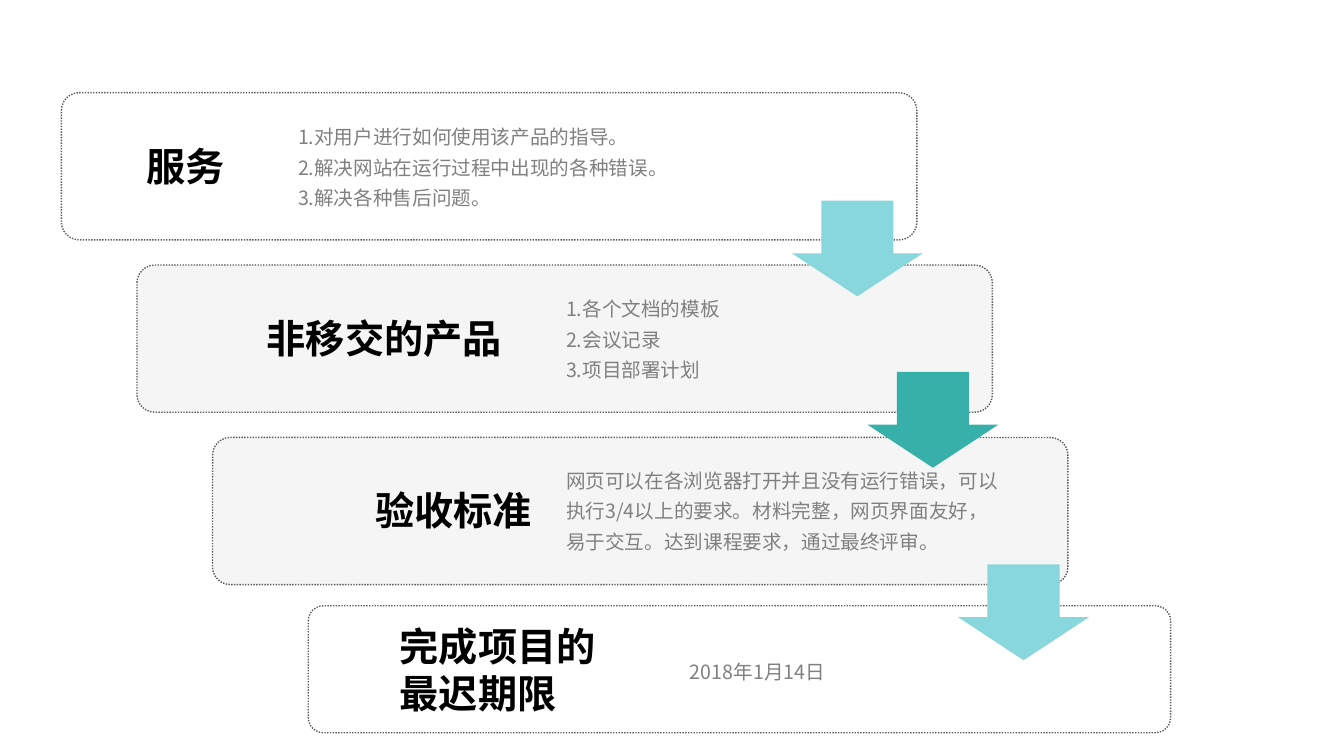
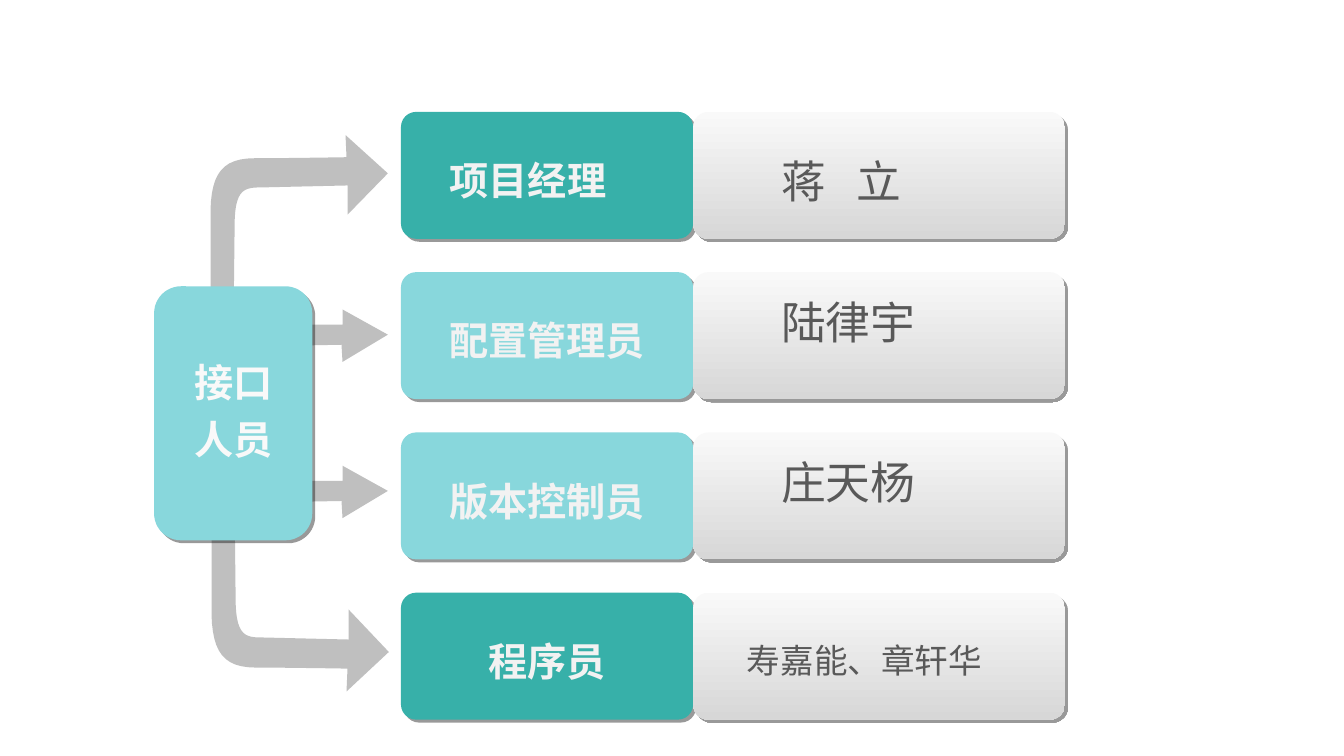
from pptx import Presentation
from pptx.dml.color import RGBColor
from pptx.enum.dml import MSO_LINE
from pptx.enum.shapes import MSO_SHAPE
from pptx.enum.text import MSO_ANCHOR, PP_ALIGN
from pptx.oxml import parse_xml
from pptx.oxml.ns import nsdecls, qn
from pptx.oxml.xmlchemy import OxmlElement
from pptx.util import Inches, Pt

TEAL, AQUA, PALE, ARROW = "37B0A9", "88D7DC", "F5F5F5", "BFBFBF"
BLACK, GREY, DARK, WHITE = "000000", "808080", "595959", "F2F2F2"
HEADING_FONT, BODY_FONT = "Arial", "Noto Sans CJK SC"
SHADOW = (f'<a:outerShdw {nsdecls("a")} blurRad="0" dist="38100" dir="2700000">'
          '<a:srgbClr val="000000"><a:alpha val="40000"/></a:srgbClr></a:outerShdw>')
hex_color = RGBColor.from_string


def add_box(page, preset, place, fill, adjust, shadow=False):
    """Add a borderless shape; fill is a hex string, a pair for a gradient or None."""
    box = page.shapes.add_shape(preset, *[Inches(value) for value in place])
    for index, value in enumerate(adjust):
        box.adjustments[index] = value
    box.shadow.inherit = False
    box.line.fill.background()
    if fill is None:
        box.fill.background()
    elif isinstance(fill, tuple):
        box.fill.gradient()
        box.fill.gradient_angle = 270
        for stop, color in zip(box.fill.gradient_stops, fill):
            stop.color.rgb = hex_color(color)
    else:
        box.fill.solid()
        box.fill.fore_color.rgb = hex_color(fill)
    if shadow:
        box._element.spPr.find(qn("a:effectLst")).append(parse_xml(SHADOW))
    return box


def write(box, text, size, color, font=BODY_FONT, bold=False, spacing=1.0,
          align=PP_ALIGN.LEFT, wrap=True):
    """Put text in a box and format every run alike."""
    frame = box.text_frame
    frame.text = text
    frame.word_wrap = wrap
    for para in frame.paragraphs:
        para.alignment = align
        para.line_spacing = spacing
        for span in para.runs:
            span.font.size = Pt(size)
            span.font.bold = bold
            span.font.name = font
            span.font.color.rgb = hex_color(color)
            east_asian = OxmlElement("a:ea")
            east_asian.set("typeface", BODY_FONT)
            span.font._element.find(qn("a:latin")).addnext(east_asian)


deck = Presentation()
deck.slide_width, deck.slide_height = Inches(13.34), Inches(7.5)
blank = deck.slide_layouts[6]

# Slide 1: staircase of dotted cards
page = deck.slides.add_slide(blank)
cards = [
    ((0.61, 0.92, 8.49, 1.46), None),
    ((1.36, 2.63, 8.49, 1.46), PALE),
    ((2.11, 4.34, 8.49, 1.46), PALE),
    ((3.06, 6.01, 8.56, 1.26), None),
]
for place, fill in cards:
    card = add_box(page, MSO_SHAPE.ROUNDED_RECTANGLE, place, fill, [0.12])
    card.line.color.rgb = hex_color(DARK)
    card.line.width = Pt(1)
    card.line.dash_style = MSO_LINE.ROUND_DOT

# Arrows from step to step
for left, top, fill in [(7.86, 1.99, AQUA), (8.61, 3.69, TEAL), (9.51, 5.6, AQUA)]:
    add_box(page, MSO_SHAPE.DOWN_ARROW, (left, top, 1.3, 0.95), fill, [0.55, 0.45])

# Headings and details of the cards
headings = [
    ("服务", (1.36, 1.36, 1.1, 0.57), False),
    ("非移交的产品", (2.55, 3.07, 2.6, 0.57), False),
    ("验收标准", (3.63, 4.78, 1.8, 0.57), False),
    ("完成项目的最迟期限", (3.87, 6.12, 2.25, 1.04), True),
]
for text, place, wrap in headings:
    heading = page.shapes.add_textbox(*[Inches(value) for value in place])
    write(heading, text, 28, BLACK, HEADING_FONT, bold=True, wrap=wrap)

details = [
    ("1.对用户进行如何使用该产品的指导。\n2.解决网站在运行过程中出现的各种错误。\n3.解决各种售后问题。",
     (2.86, 1.12, 4.27, 1.01)),
    ("1.各个文档的模板\n2.会议记录\n3.项目部署计划", (5.52, 2.83, 2.13, 1.01)),
    ("网页可以在各浏览器打开并且没有运行错误，可以执行3/4以上的要求。"
     "材料完整，网页界面友好，易于交互。达到课程要求，通过最终评审。",
     (5.52, 4.53, 4.53, 1.01)),
    ("2018年1月14日", (6.75, 6.43, 2.41, 0.4)),
]
for text, place in details:
    detail = page.shapes.add_textbox(*[Inches(value) for value in place])
    write(detail, text, 14, GREY, spacing=1.3)

# Slide 2: contact hub with arrows to four roles
page = deck.slides.add_slide(blank)

# Outlines: a pair is a corner, six numbers are a cubic curve
straight = [(1.76, 3.45), (3.39, 3.42), (3.4, 3.59), (3.85, 3.32),
            (3.4, 3.07), (3.4, 3.22), (1.76, 3.22)]
elbow = [(2.31, 3.94), (2.33, 2.18), (2.34, 1.87, 2.44, 1.86, 2.59, 1.86),
         (3.45, 1.84), (3.45, 2.13), (3.85, 1.72), (3.43, 1.34), (3.44, 1.56),
         (3.44, 1.56, 2.86, 1.57, 2.53, 1.57), (2.21, 1.57, 2.1, 1.72, 2.09, 2.08),
         (2.09, 3.98), (2.13, 4.28, 2.27, 4.25, 2.31, 3.94)]
# Each arrow: outline, shift to the right, y offset and y scale
arrows = [(straight, 0, 1.55, 1), (elbow, 0.01, 8.24, -1.03),
          (straight, 0, 0, 1), (elbow, 0, 0, 1)]
for outline, shift, offset, scale in arrows:
    points = []
    for step in outline:
        if len(step) == 2:
            points.append(step)
            continue
        controls = [points[-1], step[:2], step[2:4], step[4:]]
        for part in range(1, 13):
            t = part / 12
            weights = [(1 - t) ** 3, 3 * t * (1 - t) ** 2, 3 * t * t * (1 - t), t ** 3]
            points.append(tuple(sum(weight * control[axis]
                                    for weight, control in zip(weights, controls))
                                for axis in (0, 1)))
    points = [(Inches(x + shift), Inches(offset + scale * y)) for x, y in points]
    builder = page.shapes.build_freeform(*points[0])
    builder.add_line_segments(points[1:], close=True)
    arrow = builder.convert_to_shape()
    arrow.shadow.inherit = False
    arrow.fill.solid()
    arrow.fill.fore_color.rgb = hex_color(ARROW)
    arrow.line.fill.background()

# Hub
hub = add_box(page, MSO_SHAPE.ROUNDED_RECTANGLE, (1.53, 2.84, 1.57, 2.52), AQUA,
              [0.17], shadow=True)
write(hub, "接口\n人员", 28, "F9F9F9", bold=True, spacing=1.2, align=PP_ALIGN.CENTER)
hub.text_frame.margin_bottom = Inches(0.2)

# Rows: role, fill, alignment, name, name size, name indent, bottom margin
rows = [
    ("项目经理", TEAL, PP_ALIGN.LEFT, "蒋\t立", 32, 0.83, 0.05),
    ("配置管理员", AQUA, PP_ALIGN.CENTER, "陆律宇", 32, 0.83, 0.43),
    ("版本控制员", AQUA, PP_ALIGN.CENTER, "庄天杨", 32, 0.83, 0.43),
    ("程序员", TEAL, PP_ALIGN.CENTER, "寿嘉能、章轩华", 24, 0.49, 0.05),
]
for index, (role, fill, align, name, size, indent, bottom) in enumerate(rows):
    top = 1.11 + 1.59 * index
    role_box = add_box(page, MSO_SHAPE.ROUNDED_RECTANGLE, (3.98, top, 2.9, 1.26),
                       fill, [0.12], shadow=True)
    write(role_box, role, 28, WHITE, bold=True, spacing=1.2, align=align)
    if align == PP_ALIGN.LEFT:
        role_box.text_frame.margin_left = Inches(0.44)

    name_box = add_box(page, MSO_SHAPE.ROUNDED_RECTANGLE, (6.88, top, 3.69, 1.26),
                       ("F9F9F9", "D7D7D7"), [0.12], shadow=True)
    write(name_box, name, size, DARK, spacing=1.2)
    name_box.text_frame.vertical_anchor = MSO_ANCHOR.MIDDLE
    name_box.text_frame.margin_left = Inches(indent)
    name_box.text_frame.margin_bottom = Inches(bottom)
    if "\t" in name:
        properties = name_box.text_frame.paragraphs[0]._p.get_or_add_pPr()
        properties.append(parse_xml(f'<a:tabLst {nsdecls("a")}><a:tab pos="{Inches(0.75)}" '
                                    'algn="l"/></a:tabLst>'))

deck.save("out.pptx")
